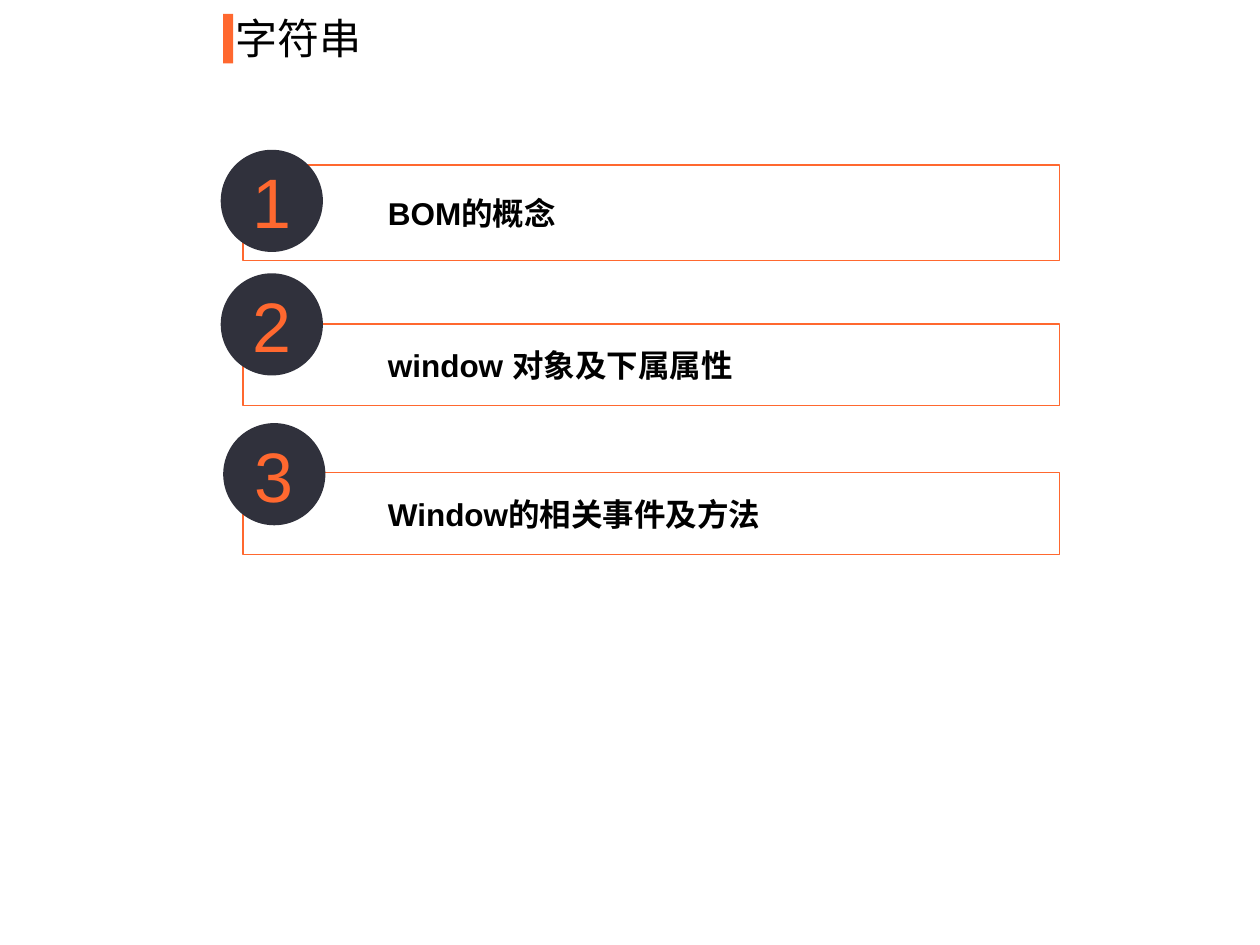
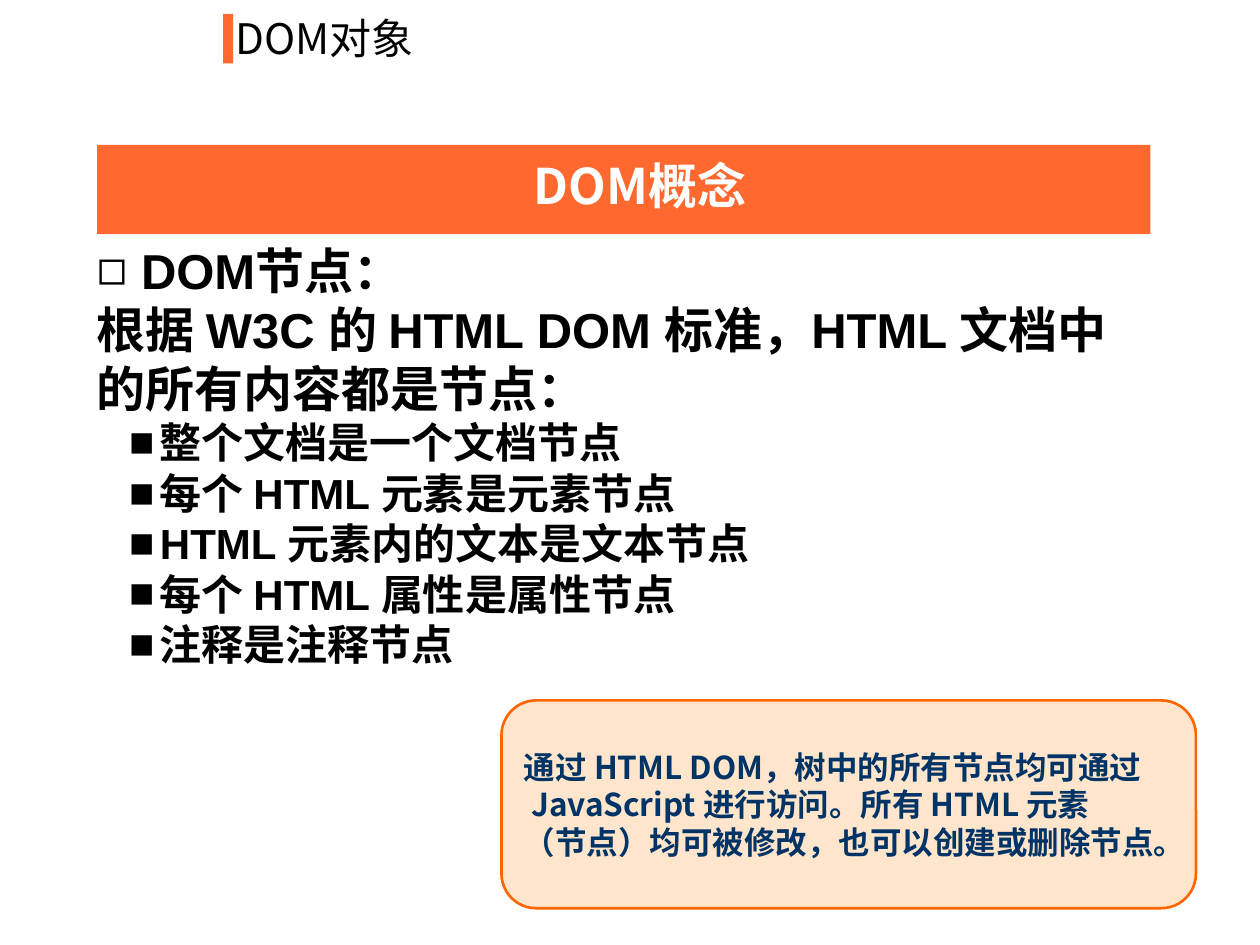
from dataclasses import dataclass

import pptx
import pptx.dml.color
import pptx.enum.shapes
import pptx.enum.text
import pptx.oxml.ns
import pptx.util
from lxml import etree
from pptx.shapes.autoshape import Shape
from pptx.slide import Slide
from pptx.text.text import TextFrame

Cm = pptx.util.Cm
Pt = pptx.util.Pt
qn = pptx.oxml.ns.qn
MSO_SHAPE = pptx.enum.shapes.MSO_SHAPE
ANCHOR = pptx.enum.text.MSO_ANCHOR
ALIGN = pptx.enum.text.PP_ALIGN
AUTO_SIZE = pptx.enum.text.MSO_AUTO_SIZE


@dataclass(frozen=True)
class Theme:
    accent: str = "FF682F"
    dark: str = "30313C"
    text: str = "000000"
    paper: str = "FFFFFF"
    note_fill: str = "FFCC99"
    note_line: str = "FF6600"
    note_text: str = "003366"
    latin: str = "Arial"
    cjk: str = "Noto Sans CJK SC"
    title: int = 24
    heading: int = 28
    item: int = 24
    label: int = 18
    number: int = 40


THEME = Theme()


@dataclass(frozen=True)
class Box:
    """A rectangle in centimetres."""
    left: float
    top: float
    width: float
    height: float

    def lengths(self) -> tuple:
        return Cm(self.left), Cm(self.top), Cm(self.width), Cm(self.height)


@dataclass(frozen=True)
class TextStyle:
    size: int
    color: str = THEME.text
    font: str = THEME.latin
    bold: bool = True
    align: ALIGN = ALIGN.LEFT


@dataclass(frozen=True)
class Topic:
    label: str
    frame: Box
    circle_left: float
    circle_top: float


@dataclass(frozen=True)
class BodyLine:
    text: str
    size: int
    bullet: str = ""
    margin: float = 0
    hanging: float = 0


CIRCLE = 2.06
TOPICS = [
    Topic("BOM的概念", Box(4.9, 3.33, 16.46, 1.93), 4.45, 3.02),
    Topic("window 对象及下属属性", Box(4.9, 6.53, 16.46, 1.65), 4.45, 5.51),
    Topic("Window的相关事件及方法", Box(4.9, 9.53, 16.46, 1.65), 4.5, 8.53),
]
NODE_KINDS = [
    "整个文档是一个文档节点",
    "每个 HTML 元素是元素节点",
    "HTML 元素内的文本是文本节点",
    "每个 HTML 属性是属性节点",
    "注释是注释节点",
]
BODY = [
    BodyLine("DOM节点：", THEME.heading, "◻", 0.89, 0.89),
    BodyLine("根据 W3C 的 HTML DOM 标准，HTML 文档中的所有内容都是节点：", THEME.heading),
    *(BodyLine(kind, THEME.item, "■", 1.27, 0.62) for kind in NODE_KINDS),
]
NOTE = [
    "通过 HTML DOM，树中的所有节点均可通过",
    " JavaScript 进行访问。所有 HTML 元素",
    "（节点）均可被修改，也可以创建或删除节点。",
]


def rgb(color: str) -> pptx.dml.color.RGBColor:
    return pptx.dml.color.RGBColor.from_string(color)


def format_paragraph(p, style: TextStyle) -> None:
    p.alignment = style.align
    p.space_before = Pt(0)
    for r in p.runs:
        r.font.name = style.font
        r.font.size = Pt(style.size)
        r.font.bold = style.bold
        r.font.color.rgb = rgb(style.color)
        latin = r.font._element.find(qn("a:latin"))
        east_asian = etree.Element(qn("a:ea"), typeface=THEME.cjk)
        latin.addnext(east_asian)


def write(tf: TextFrame, text: str, style: TextStyle) -> None:
    tf.text = text
    for p in tf.paragraphs:
        format_paragraph(p, style)


def set_indent(p, margin: float, hanging: float = 0, bullet: str = "") -> None:
    """Set a paragraph's indents in centimetres and its bullet, if any."""
    props = p._p.get_or_add_pPr()
    props.set("marL", str(Cm(margin)))
    props.set("indent", str(-Cm(hanging)))
    if bullet:
        etree.SubElement(props, qn("a:buFont"), typeface=THEME.latin)
        etree.SubElement(props, qn("a:buChar"), char=bullet)
    else:
        etree.SubElement(props, qn("a:buNone"))


def add_shape(s: Slide, kind: MSO_SHAPE, box: Box, fill: str, opacity: int = 100,
              line: str = "", line_width: float = 0.75) -> Shape:
    sp = s.shapes.add_shape(kind, *box.lengths())
    sp.shadow.inherit = False
    sp.fill.solid()
    sp.fill.fore_color.rgb = rgb(fill)
    if opacity < 100:
        color = sp._element.spPr.find(qn("a:solidFill"))[0]
        etree.SubElement(color, qn("a:alpha"), val=str(opacity * 1000))
    if line:
        sp.line.color.rgb = rgb(line)
        sp.line.width = Pt(line_width)
    else:
        sp.line.fill.background()
    sp.text_frame.vertical_anchor = ANCHOR.MIDDLE
    return sp


def place(sp: Shape, box: Box) -> TextFrame:
    """Move a placeholder and give its text a fixed size from the top."""
    sp.left, sp.top, sp.width, sp.height = box.lengths()
    tf = sp.text_frame
    tf.vertical_anchor = ANCHOR.TOP
    tf.auto_size = AUTO_SIZE.NONE
    tf.word_wrap = True
    return tf


def add_titled_slide(prs, layout: int, title: str, title_width: float) -> Slide:
    s = prs.slides.add_slide(prs.slide_layouts[layout])
    add_shape(s, MSO_SHAPE.RECTANGLE, Box(4.5, 0.28, 0.2, 1), THEME.accent)
    tf = place(s.shapes.title, Box(4.5, 0.13, title_width, 1.27))
    write(tf, title, TextStyle(THEME.title, font=THEME.cjk, bold=False))
    return s


def add_topic(s: Slide, number: int, topic: Topic) -> None:
    frame = add_shape(s, MSO_SHAPE.RECTANGLE, topic.frame, THEME.paper, 40, THEME.accent)
    tf = frame.text_frame
    tf.margin_left = Cm(1.65)
    tf.margin_top = tf.margin_right = tf.margin_bottom = Cm(0.2)
    write(tf, topic.label, TextStyle(THEME.label))
    set_indent(tf.paragraphs[0], 1.27)
    circle = add_shape(s, MSO_SHAPE.OVAL,
                       Box(topic.circle_left, topic.circle_top, CIRCLE, CIRCLE), THEME.dark)
    write(circle.text_frame, str(number),
          TextStyle(THEME.number, THEME.accent, bold=False, align=ALIGN.CENTER))


def add_banner(s: Slide, text: str) -> None:
    add_shape(s, MSO_SHAPE.RECTANGLE, Box(1.96, 2.92, 21.23, 1.8), THEME.accent)
    tf = s.shapes.add_textbox(*Box(3.3, 3.02, 19.2, 1.45).lengths()).text_frame
    tf.word_wrap = True
    write(tf, text, TextStyle(THEME.heading, THEME.paper, THEME.cjk, align=ALIGN.CENTER))


def fill_body(s: Slide, lines: list[BodyLine]) -> None:
    tf = place(s.placeholders[1], Box(1.7, 4.72, 21.79, 9.91))
    tf.text = "\n".join(line.text for line in lines)
    for p, line in zip(tf.paragraphs, lines):
        format_paragraph(p, TextStyle(line.size))
        set_indent(p, line.margin, line.hanging, line.bullet)


def add_note(s: Slide, lines: list[str]) -> None:
    sp = add_shape(s, MSO_SHAPE.ROUNDED_RECTANGLE, Box(10.11, 14.12, 14, 4.19),
                   THEME.note_fill, 50, THEME.note_line, 1.5)
    sp.text_frame.word_wrap = False
    write(sp.text_frame, "\n".join(lines),
          TextStyle(THEME.label, THEME.note_text, THEME.cjk))


def main() -> None:
    prs = pptx.Presentation()
    prs.slide_width, prs.slide_height = Cm(25.4), Cm(19.05)

    s = add_titled_slide(prs, 5, "字符串", 10.21)
    for number, topic in enumerate(TOPICS, start=1):
        add_topic(s, number, topic)

    s = add_titled_slide(prs, 1, "DOM对象", 6.55)
    add_banner(s, "DOM概念")
    fill_body(s, BODY)
    add_note(s, NOTE)

    prs.save("out.pptx")


if __name__ == "__main__":
    main()
